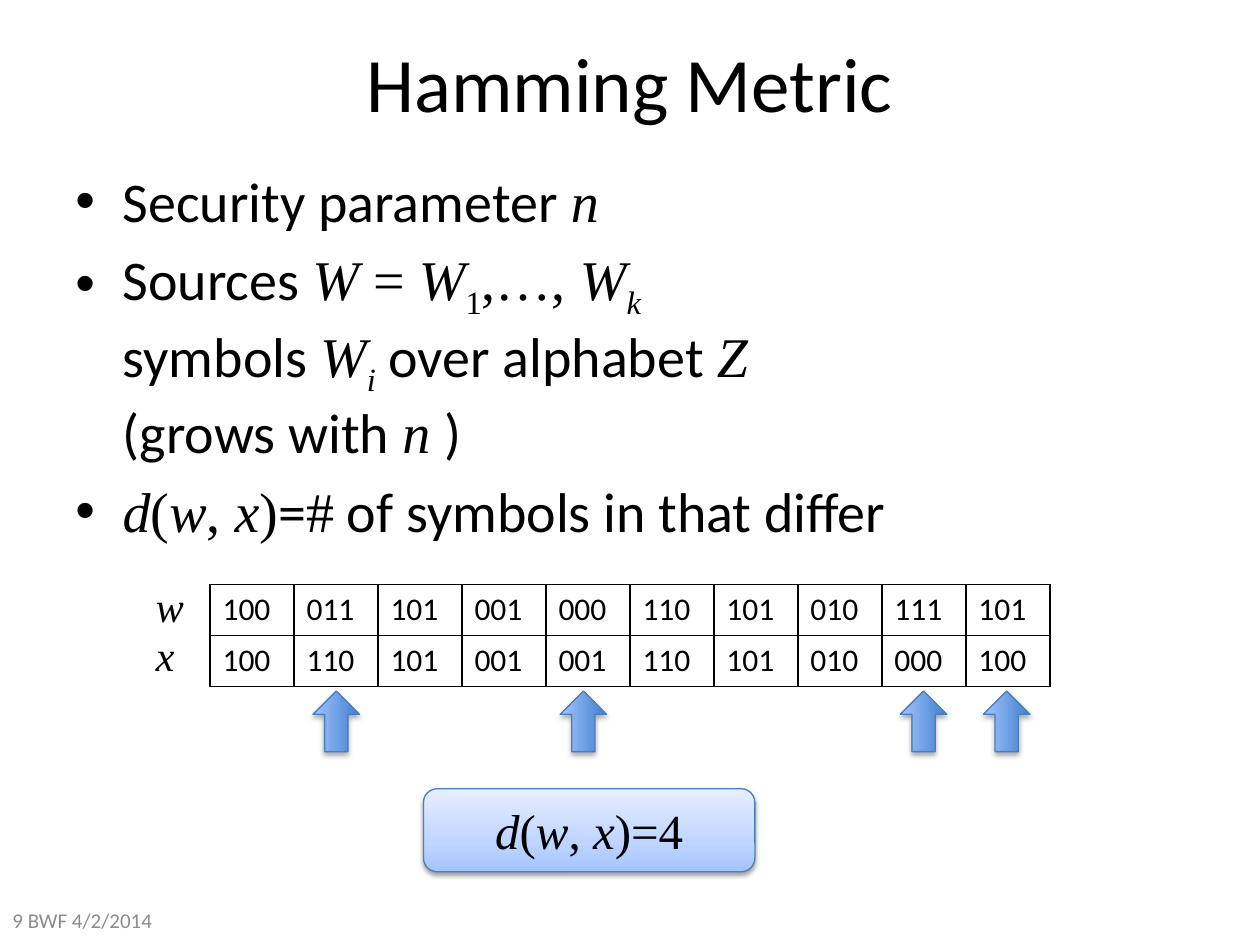
from copy import deepcopy
from lxml import etree
from pptx import Presentation
from pptx.dml.color import RGBColor
from pptx.enum.shapes import MSO_SHAPE as Shape
from pptx.enum.text import MSO_ANCHOR as Anchor, PP_ALIGN as Align
from pptx.oxml import parse_xml
from pptx.oxml.ns import nsdecls, qn
from pptx.util import Pt

COLORS = {"black": "000000", "grey": "8C8C8C", "outline": "4B7EBC",
          "deep": "3F80CE", "sky": "A4C4FF", "pale": "BFD4FF", "mist": "E6EEFF"}
STYLES = {
    "sans": {"name": "Calibri", "italic": False},
    "serif": {"name": "Times New Roman", "italic": False},
    "math": {"name": "Times New Roman", "italic": True},
    "sub": {"name": "Times New Roman", "italic": False},
    "mathsub": {"name": "Times New Roman", "italic": True},
}


def write_runs(paragraph, runs, size, color="black"):
    for text, style in runs:
        if style == "break":
            paragraph.add_line_break()
            continue
        run = paragraph.add_run()
        run.text = text
        run.font.size = Pt(size)
        run.font.color.rgb = RGBColor.from_string(COLORS[color])
        for attribute, value in STYLES[style].items():
            setattr(run.font, attribute, value)
        if style.endswith("sub"):
            run._r.get_or_add_rPr().set("baseline", "-25000")


def paint(shape, stops, opacity, distance):
    shape.line.color.rgb = RGBColor.from_string(COLORS["outline"])
    shape.line.width = Pt(0.75)
    gradient = "".join(
        f'<a:gs pos="{position * 1000}"><a:srgbClr val="{COLORS[color]}"/></a:gs>'
        for position, color in stops)
    properties = shape._element.spPr
    properties.find(qn("a:ln")).addprevious(parse_xml(
        f'<a:gradFill {nsdecls("a")} rotWithShape="1"><a:gsLst>{gradient}</a:gsLst>'
        '<a:lin ang="16200000" scaled="0"/></a:gradFill>'))
    properties.append(parse_xml(
        f'<a:effectLst {nsdecls("a")}><a:outerShdw blurRad="{Pt(3.1)}" dist="{Pt(distance)}" '
        f'dir="5400000" rotWithShape="0"><a:srgbClr val="{COLORS["black"]}">'
        f'<a:alpha val="{opacity * 1000}"/></a:srgbClr></a:outerShdw></a:effectLst>'))


presentation = Presentation()
presentation.slide_width, presentation.slide_height = Pt(720), Pt(540)
slide = presentation.slides.add_slide(presentation.slide_layouts[5])

title = slide.shapes.title
title.left, title.top, title.width, title.height = Pt(36), Pt(1.5), Pt(648), Pt(90)
title.text_frame.vertical_anchor = Anchor.MIDDLE
title_paragraph = title.text_frame.paragraphs[0]
title_paragraph.alignment = Align.CENTER
write_runs(title_paragraph, [("Hamming Metric", "sans")], 44)

distance_runs = [("d", "math"), ("(", "serif"), ("w", "math"), (", ", "serif"), ("x", "math")]
bullets = [
    [("Security parameter ", "sans"), ("n", "math")],
    [("Sources ", "sans"), ("W", "math"), (" = ", "serif"), ("W", "math"), ("1", "sub"),
     (",…, ", "serif"), ("W", "math"), ("k ", "mathsub"), ("", "break"),
     ("symbols ", "sans"), ("W", "math"), ("i", "mathsub"), (" over alphabet ", "sans"),
     ("Z ", "math"), ("", "break"),
     ("(grows with ", "sans"), ("n ", "math"), (")", "sans")],
    distance_runs + [(")", "serif"), ("=", "sans"), ("#", "serif"),
                     (" of symbols in that differ", "sans")],
]
body = slide.shapes.add_textbox(Pt(36), Pt(91.5), Pt(648), Pt(239)).text_frame
body.word_wrap = True
for index, runs in enumerate(bullets):
    paragraph = body.paragraphs[0] if index == 0 else body.add_paragraph()
    paragraph.space_before = Pt(6.4)
    write_runs(paragraph, runs, 32)
    properties = paragraph._p.get_or_add_pPr()
    properties.set("marL", str(Pt(27)))
    properties.set("indent", str(-Pt(27)))
    etree.SubElement(properties, qn("a:buFont")).set("typeface", "Arial")
    etree.SubElement(properties, qn("a:buChar")).set("char", "•")

footer = slide.shapes.add_textbox(Pt(0), Pt(511.2), Pt(168), Pt(28.8)).text_frame
footer.word_wrap = True
footer.vertical_anchor = Anchor.MIDDLE
write_runs(footer.paragraphs[0], [("9 BWF 4/2/2014", "sans")], 12, "grey")

words = {
    "w": ["100", "011", "101", "001", "000", "110", "101", "010", "111", "101"],
    "x": ["100", "110", "101", "001", "001", "110", "101", "010", "000", "100"],
}
table_left, column_width, row_height = 120, 48, 29.2
table = slide.shapes.add_table(2, 10, Pt(table_left), Pt(334), Pt(480), Pt(58.4)).table
table.first_row = table.horz_banding = False
for column in table.columns:
    column.width = Pt(column_width)
border = parse_xml(
    f'<a:lnL {nsdecls("a")} w="{Pt(1)}"><a:solidFill><a:srgbClr val="{COLORS["black"]}"/>'
    '</a:solidFill></a:lnL>')
for row_index, (name, symbols) in enumerate(words.items()):
    table.rows[row_index].height = Pt(row_height)
    for column_index, symbol in enumerate(symbols):
        cell = table.cell(row_index, column_index)
        write_runs(cell.text_frame.paragraphs[0], [(symbol, "sans")], 18)
        cell.fill.background()
        for position, side in enumerate(["lnL", "lnR", "lnT", "lnB"]):
            edge = deepcopy(border)
            edge.tag = qn(f"a:{side}")
            cell._tc.get_or_add_tcPr().insert(position, edge)
    label = slide.shapes.add_textbox(Pt(82), Pt(328.3 + 28.1 * row_index), Pt(32), Pt(36))
    label.text_frame.word_wrap = False
    write_runs(label.text_frame.paragraphs[0], [(name, "math")], 24)

for center in [192.2, 333.4, 527.8, 575.3]:
    arrow = slide.shapes.add_shape(
        Shape.RIGHT_ARROW, Pt(center - 17.3), Pt(398.9), Pt(34.6), Pt(26.6))
    arrow.rotation = 270
    paint(arrow, [(0, "deep"), (100, "sky")], 35, 1.8)

result = slide.shapes.add_shape(Shape.ROUNDED_RECTANGLE, Pt(242), Pt(450.7), Pt(189.4), Pt(47.5))
paint(result, [(0, "sky"), (35, "pale"), (100, "mist")], 38, 1.6)
result_frame = result.text_frame
result_frame.vertical_anchor = Anchor.MIDDLE
for side in ["left", "top", "right", "bottom"]:
    setattr(result_frame, f"margin_{side}", Pt(3.6))
result_paragraph = result_frame.paragraphs[0]
result_paragraph.alignment = Align.CENTER
write_runs(result_paragraph, distance_runs + [(")=4", "serif")], 28)

presentation.save("out.pptx")
